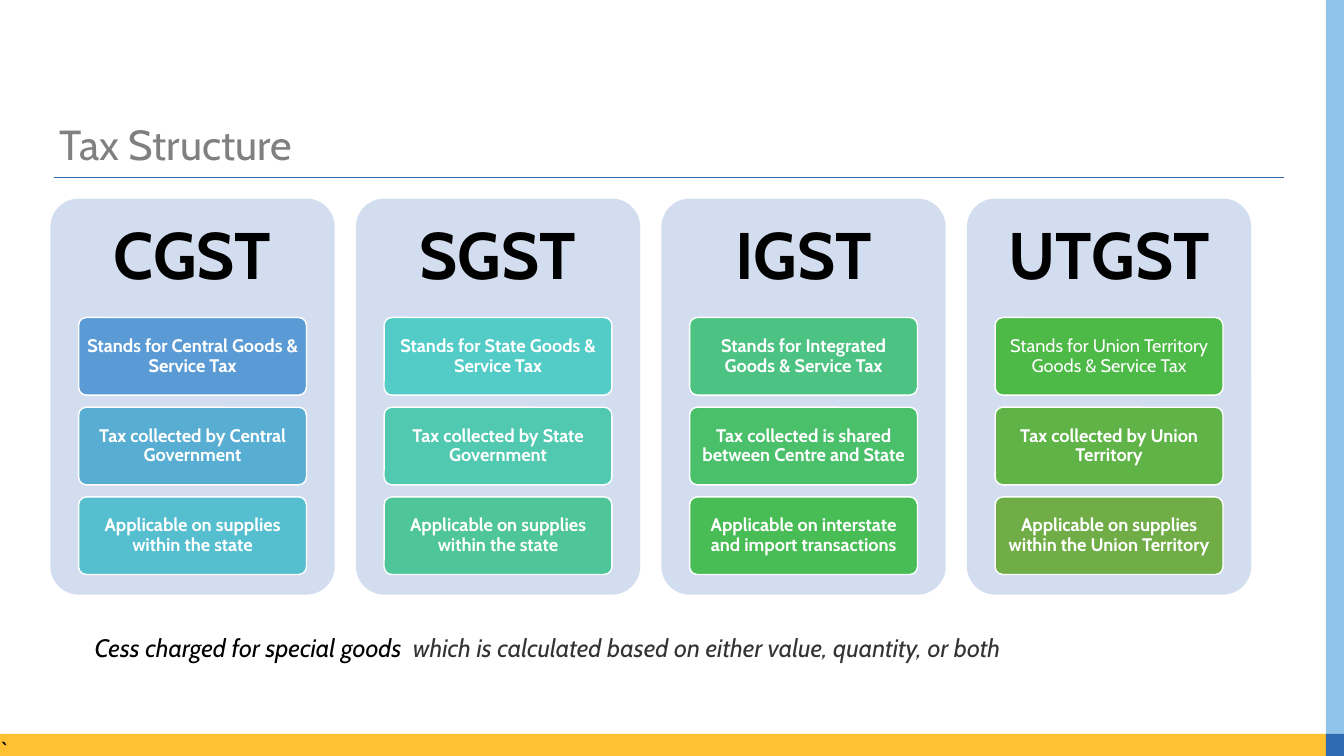
from lxml import etree
from pptx import Presentation
from pptx.dml.color import RGBColor
from pptx.enum.shapes import MSO_CONNECTOR, MSO_SHAPE
from pptx.enum.text import MSO_ANCHOR, MSO_AUTO_SIZE, PP_ALIGN
from pptx.oxml.ns import qn
from pptx.util import Inches, Pt

RECTANGLE, ROUNDED = MSO_SHAPE.RECTANGLE, MSO_SHAPE.ROUNDED_RECTANGLE
STRAIGHT = MSO_CONNECTOR.STRAIGHT
TOP, MIDDLE = MSO_ANCHOR.TOP, MSO_ANCHOR.MIDDLE
LEFT, CENTER = PP_ALIGN.LEFT, PP_ALIGN.CENTER
GROW = MSO_AUTO_SIZE.SHAPE_TO_FIT_TEXT

FONT = "Cabin"
BLACK = RGBColor(0x00, 0x00, 0x00)
WHITE = RGBColor(0xFF, 0xFF, 0xFF)
GREY = RGBColor(0x80, 0x80, 0x80)
DARK_GREY = RGBColor(0x33, 0x33, 0x33)
BLUE = RGBColor(0x2F, 0x69, 0xB0)
LIGHT_BLUE = RGBColor(0x90, 0xC4, 0xE9)
YELLOW = RGBColor(0xFF, 0xC0, 0x31)
PANEL = RGBColor(0xD2, 0xDE, 0xEF)

PANEL_LEFT, PANEL_TOP, PANEL_WIDTH, PANEL_HEIGHT = 0.5, 1.97, 2.82, 3.93
PANEL_PITCH = 3.03
HEADING_HEIGHT = 1.18
TILE_INDENT, TILE_WIDTH, TILE_HEIGHT = 0.28, 2.26, 0.77
TILE_PITCH = 0.89

TAXES = [
    ("CGST", [
        ("Stands for Central Goods & Service Tax", RGBColor(0x5B, 0x9B, 0xD5), True),
        ("Tax collected by Central Government", RGBColor(0x58, 0xAD, 0xD2), True),
        ("Applicable on supplies within the state", RGBColor(0x56, 0xBF, 0xCF), True),
    ]),
    ("SGST", [
        ("Stands for State Goods & Service Tax", RGBColor(0x53, 0xCC, 0xC8), True),
        ("Tax collected by State Government", RGBColor(0x51, 0xC9, 0xB0), True),
        ("Applicable on supplies within the state", RGBColor(0x4F, 0xC6, 0x99), True),
    ]),
    ("IGST", [
        ("Stands for Integrated Goods & Service Tax", RGBColor(0x4C, 0xC3, 0x82), True),
        ("Tax collected is shared between Centre and State", RGBColor(0x4A, 0xC0, 0x6B), True),
        ("Applicable on interstate and import transactions", RGBColor(0x48, 0xBC, 0x55), True),
    ]),
    ("UTGST", [
        ("Stands for Union Territory Goods & Service Tax", RGBColor(0x4D, 0xB9, 0x46), False),
        ("Tax collected by Union Territory", RGBColor(0x60, 0xB3, 0x47), True),
        ("Applicable on supplies within the Union Territory", RGBColor(0x70, 0xAD, 0x47), True),
    ]),
]


def write(shape, text, size, color, bold=False, align=CENTER, anchor=MIDDLE,
          margins=(0.04, 0.03), spacing=0.9, font=FONT):
    """Put one formatted paragraph into a shape."""
    frame = shape.text_frame
    frame.word_wrap = True
    frame.vertical_anchor = anchor
    frame.margin_left = frame.margin_right = Inches(margins[0])
    frame.margin_top = frame.margin_bottom = Inches(margins[1])
    para = frame.paragraphs[0]
    para.text = text
    para.alignment = align
    para.line_spacing = spacing
    para.font.name = font
    para.font.size = Pt(size)
    para.font.bold = bold
    para.font.color.rgb = color


def add_block(page, kind, left, top, width, height, fill, line=None):
    """Add a flat filled shape, outlined when a line colour is given."""
    block = page.shapes.add_shape(
        kind, Inches(left), Inches(top), Inches(width), Inches(height))
    block.shadow.inherit = False
    block.fill.solid()
    block.fill.fore_color.rgb = fill
    if line is None:
        block.line.fill.background()
    else:
        block.line.color.rgb = line
        block.line.width = Pt(1)
    if kind == ROUNDED:
        block.adjustments[0] = 0.1
    return block


def add_frame(page):
    """Add the title rule and the coloured bars at the edges."""
    rule = page.shapes.add_connector(
        STRAIGHT, Inches(0.54), Inches(1.76), Inches(12.73), Inches(1.76))
    rule.line.color.rgb = BLUE
    rule.line.width = Pt(0.82)
    etree.SubElement(rule._element.spPr, qn("a:effectLst"))
    bottom_bar = add_block(page, RECTANGLE, 0, 7.28, 13.15, 0.22, YELLOW)
    write(bottom_bar, "`", 18, BLACK, align=LEFT, anchor=TOP,
          margins=(0, 0), spacing=1, font="Calibri")
    add_block(page, RECTANGLE, 13.15, 0, 0.18, 7.28, LIGHT_BLUE)
    add_block(page, RECTANGLE, 13.15, 7.28, 0.18, 0.22, BLUE)


def add_title(page, text):
    """Place and format the title placeholder."""
    title = page.shapes.title
    title.left, title.top = Inches(0.49), Inches(1.18)
    title.width, title.height = Inches(12.2), Inches(0.5)
    write(title, text, 30, GREY, align=LEFT, anchor=TOP, margins=(0.1, 0.05))


def add_tax(page, left, name, facts):
    """Add one panel with its heading and its stacked tiles."""
    add_block(page, ROUNDED, left, PANEL_TOP, PANEL_WIDTH, PANEL_HEIGHT, PANEL)
    heading = page.shapes.add_textbox(
        Inches(left), Inches(PANEL_TOP), Inches(PANEL_WIDTH), Inches(HEADING_HEIGHT))
    write(heading, name, 47, BLACK, bold=True, margins=(0.2, 0.2))
    for row, (text, fill, bold) in enumerate(facts):
        top = PANEL_TOP + HEADING_HEIGHT + row * TILE_PITCH
        tile = add_block(page, ROUNDED, left + TILE_INDENT, top,
                         TILE_WIDTH, TILE_HEIGHT, fill, WHITE)
        write(tile, text, 13, WHITE, bold=bold)


def add_cess_note(page):
    """Add the two-coloured closing sentence."""
    box = page.shapes.add_textbox(
        Inches(0.84), Inches(6.22), Inches(10.71), Inches(0.4))
    box.text_frame.word_wrap = True
    box.text_frame.auto_size = GROW
    para = box.text_frame.paragraphs[0]
    para.font.name = FONT
    para.font.size = Pt(18)
    para.font.italic = True
    for text, color in (
            ("Cess charged for special goods ", BLACK),
            (" which is calculated based on either value, quantity, or both", DARK_GREY)):
        span = para.add_run()
        span.text = text
        span.font.color.rgb = color


def main():
    """Build the slide and save the deck."""
    deck = Presentation()
    deck.slide_width, deck.slide_height = Inches(13.33), Inches(7.5)
    page = deck.slides.add_slide(deck.slide_layouts[5])
    add_frame(page)
    add_title(page, "Tax Structure")
    for column, (name, facts) in enumerate(TAXES):
        add_tax(page, PANEL_LEFT + column * PANEL_PITCH, name, facts)
    add_cess_note(page)
    deck.save("out.pptx")


if __name__ == "__main__":
    main()
